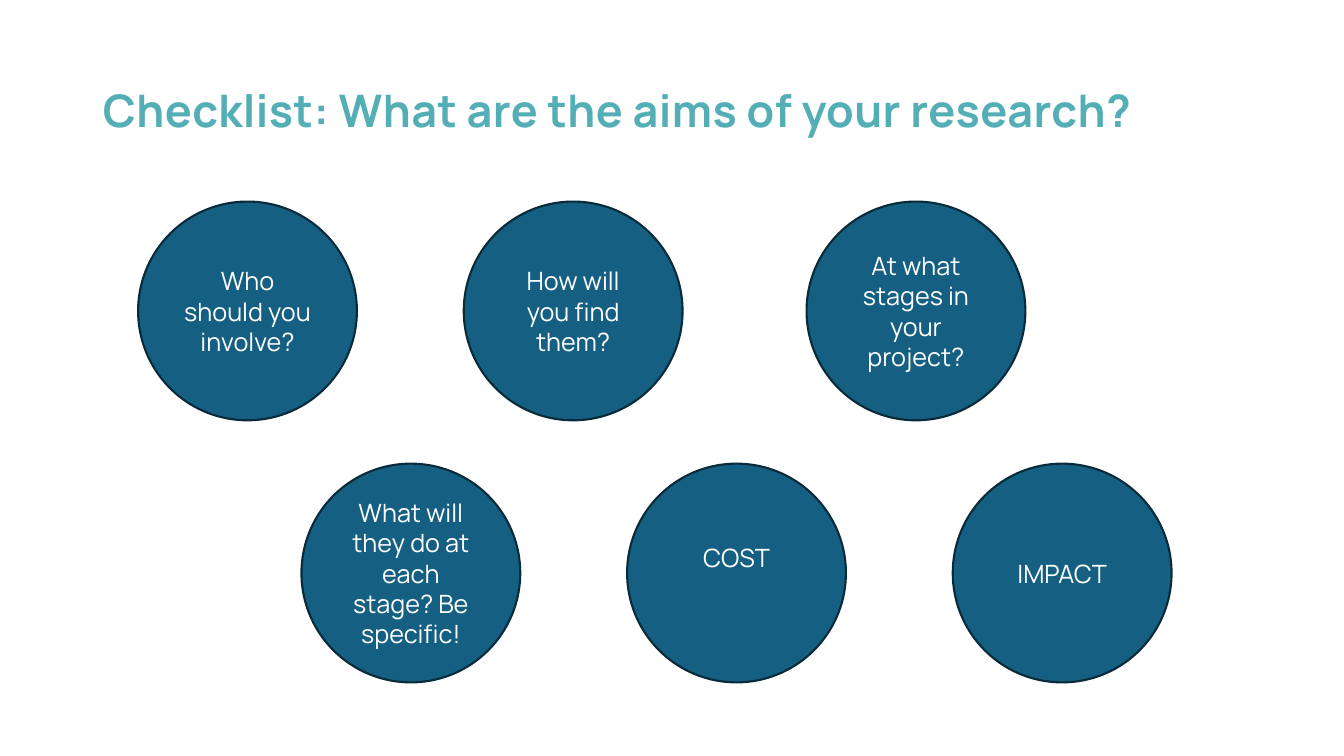
from dataclasses import dataclass

from pptx import Presentation
from pptx.dml.color import RGBColor as RGB
from pptx.enum.shapes import MSO_SHAPE as Shape
from pptx.enum.text import MSO_ANCHOR as Anchor, PP_ALIGN as Align
from pptx.util import Inches, Pt


@dataclass(frozen=True)
class Theme:
    font: str = "Manrope"
    teal: str = "54AEB6"
    blue: str = "156082"
    edge: str = "092A39"
    white: str = "FFFFFF"
    head: int = 32
    body: int = 18
    line: float = 1.5


THEME = Theme()
SIZE = 2.17
TOP = [(1.37, "Who should you involve?", 0),
       (4.6, "How will you find them?", 0),
       (8, "At what stages in your project?", 0)]
LOW = [(2.99, "What will they do at each stage? Be specific!", 0),
       (6.22, "COST", 0.3),
       (9.45, "IMPACT", 0)]


def write(shape, text, size=THEME.body, color=THEME.white, bold=False,
          align=Align.CENTER, leading=1.0, track=0, lift=0):
    frame = shape.text_frame
    frame.word_wrap = True
    frame.vertical_anchor = Anchor.MIDDLE
    frame.margin_bottom = Inches(0.05 + lift)
    para = frame.paragraphs[0]
    para.alignment = align
    para.line_spacing = leading
    run = para.add_run()
    run.text = text
    font = run.font
    font.name = THEME.font
    font.size = Pt(size)
    font.bold = bold
    font.color.rgb = RGB.from_string(color)
    if track:
        run._r.get_or_add_rPr().set("spc", str(track))


def add_title(slide, left, top, width, height):
    title = slide.shapes.title
    title.left, title.top = Inches(left), Inches(top)
    title.width, title.height = Inches(width), Inches(height)
    write(title, "Checklist: What are the aims of your research?",
          size=THEME.head, color=THEME.teal, bold=True,
          align=Align.LEFT, leading=0.9, track=30)


def add_row(slide, top, items):
    for left, text, lift in items:
        disc = slide.shapes.add_shape(
            Shape.OVAL, Inches(left), Inches(top), Inches(SIZE), Inches(SIZE))
        disc.shadow.inherit = False
        disc.fill.solid()
        disc.fill.fore_color.rgb = RGB.from_string(THEME.blue)
        disc.line.color.rgb = RGB.from_string(THEME.edge)
        disc.line.width = Pt(THEME.line)
        write(disc, text, lift=lift)


def main():
    deck = Presentation()
    deck.slide_width, deck.slide_height = Inches(13.33), Inches(7.5)
    slide = deck.slides.add_slide(deck.slide_layouts.get_by_name("Title Only"))
    add_title(slide, 0.92, 0.4, 11.5, 1.45)
    add_row(slide, 2, TOP)
    add_row(slide, 4.6, LOW)
    deck.save("out.pptx")


if __name__ == "__main__":
    main()
